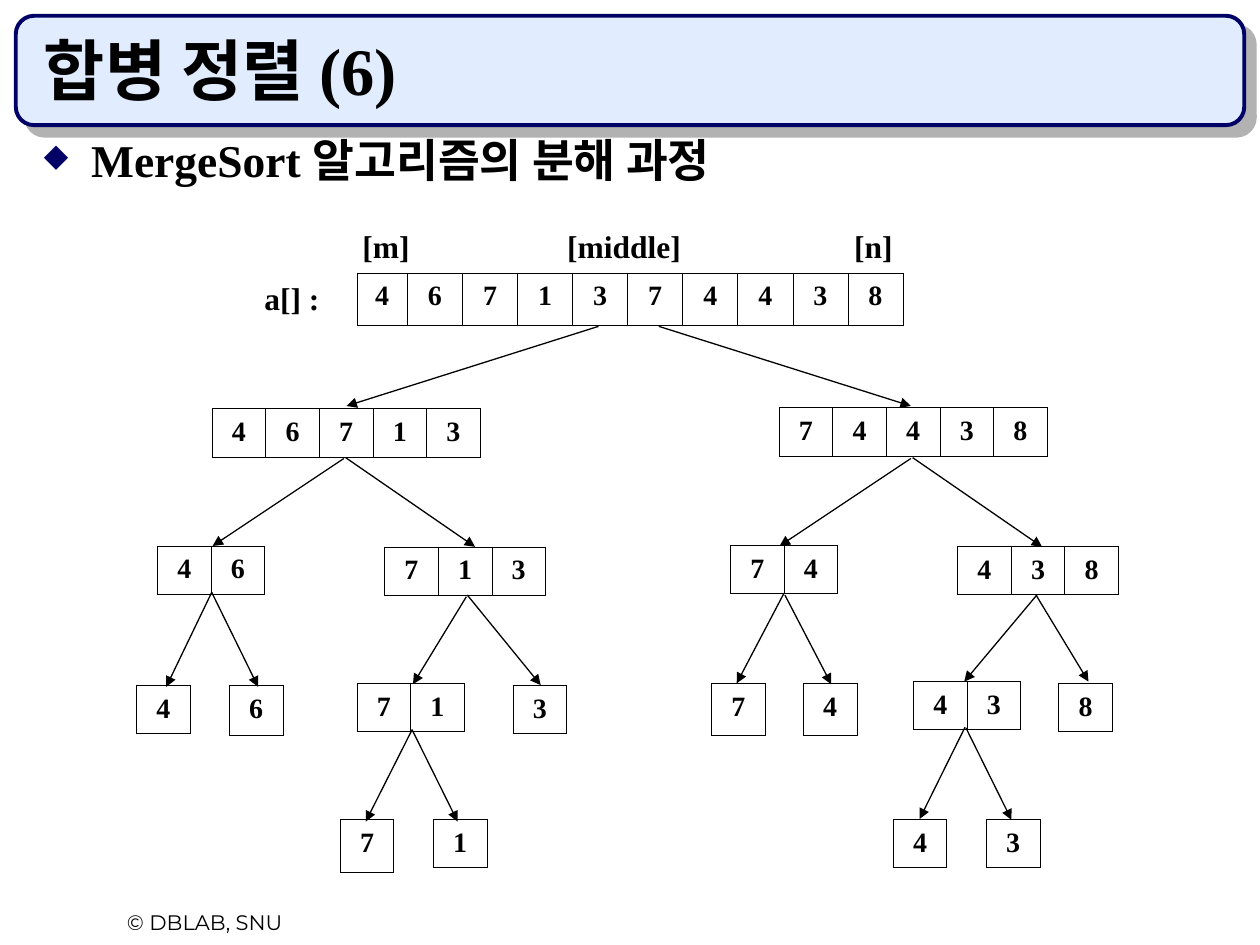
from lxml import etree
from pptx import Presentation
from pptx.dml.color import RGBColor
from pptx.enum.shapes import MSO_CONNECTOR, MSO_SHAPE
from pptx.enum.text import MSO_ANCHOR, PP_ALIGN
from pptx.oxml import parse_xml
from pptx.oxml.ns import nsdecls, qn
from pptx.util import Pt

LEFT, CENTER = PP_ALIGN.LEFT, PP_ALIGN.CENTER
TOP, BOTTOM = MSO_ANCHOR.TOP, MSO_ANCHOR.BOTTOM
ROUNDED = MSO_SHAPE.ROUNDED_RECTANGLE
STRAIGHT = MSO_CONNECTOR.STRAIGHT

THEME = {
    "black": "000000", "navy": "000066", "banner": "E1ECFF", "shadow": "B2B2B2",
    "serif": "Times New Roman", "sans": "Montserrat",
    "title": 38, "heading": 26, "label": 18, "digit": 16, "footer": 12,
}
CELL_WIDTH = 30.67


def write(frame, text, size, font=THEME["serif"], bold=True, align=LEFT,
          anchor=TOP, spacing=None, extras=()):
    frame.word_wrap = True
    frame.vertical_anchor = anchor
    paragraph = frame.paragraphs[0]
    paragraph.alignment = align
    if spacing:
        paragraph.line_spacing = spacing
    properties = paragraph._p.get_or_add_pPr()
    for extra in extras:
        properties.append(parse_xml(extra))
    run = paragraph.add_run()
    run.text = text
    run.font.size = Pt(size)
    run.font.name = font
    run.font.bold = bold
    run.font.color.rgb = RGBColor.from_string(THEME["black"])
    return properties


presentation = Presentation()
presentation.slide_width, presentation.slide_height = Pt(720), Pt(540)
slide = presentation.slides.add_slide(presentation.slide_layouts[6])
shapes = slide.shapes
namespace = nsdecls("a")

banner = shapes.add_shape(ROUNDED, Pt(9), Pt(9), Pt(702), Pt(62.5))
banner.adjustments[0] = 0.167
banner.fill.solid()
banner.fill.fore_color.rgb = RGBColor.from_string(THEME["banner"])
banner.line.color.rgb = RGBColor.from_string(THEME["navy"])
banner.line.width = Pt(2.25)
banner.shadow.inherit = False
banner._element.spPr.find(qn("a:effectLst")).append(parse_xml(
    f'<a:outerShdw {namespace} blurRad="0" dist="{Pt(8.5)}" dir="2700000" algn="ctr" '
    f'rotWithShape="0"><a:srgbClr val="{THEME["shadow"]}"/></a:outerShdw>'))

bullet = (
    f'<a:buClr {namespace}><a:srgbClr val="{THEME["navy"]}"/></a:buClr>',
    f'<a:buSzPct {namespace} val="70000"/>',
    f'<a:buChar {namespace} char="◆"/>',
)
label_tabs = (
    f'<a:tabLst {namespace}><a:tab pos="{Pt(117)}" algn="l"/>'
    f'<a:tab pos="{Pt(281)}" algn="l"/></a:tabLst>',
)
texts = [
    (30, 516, 174, 22, "© DBLAB, SNU",
     dict(size=THEME["footer"], font=THEME["sans"], bold=False, align=CENTER)),
    (18, 18, 678, 48, "합병 정렬 (6)", dict(size=THEME["title"], anchor=BOTTOM)),
    (18, 78, 678, 420, "MergeSort 알고리즘의 분해 과정",
     dict(size=THEME["heading"], spacing=0.8, extras=bullet)),
    (200, 126, 324, 29, "[m]\t[middle]\t[n]",
     dict(size=THEME["label"], extras=label_tabs)),
    (144, 156, 48, 29, "a[] :", dict(size=THEME["label"])),
]
for left, top, width, height, text, text_format in texts:
    box = shapes.add_textbox(Pt(left), Pt(top), Pt(width), Pt(height))
    properties = write(box.text_frame, text, **text_format)
    if text_format.get("extras") is bullet:
        properties.set("marL", str(Pt(27)))
        properties.set("indent", str(-Pt(27)))

arrays = [
    (204, 156, 30.2, "4671374438"),
    (121.2, 233.5, 27.6, "46713"), (445.2, 233, 27.8, "74438"),
    (90, 312, 27.6, "46"), (219.8, 312.6, 27.6, "713"),
    (417.4, 311.6, 27.6, "74"), (547.2, 312.2, 27.6, "438"),
    (78, 391.6, 27.6, "4"), (131, 391.6, 28.6, "6"),
    (204, 390.4, 27.8, "71"), (293.2, 391.6, 27.6, "3"),
    (406.6, 390.4, 29.8, "7"), (459, 390.4, 29.8, "4"),
    (522, 389.4, 27.6, "43"), (605, 390.4, 27.6, "8"),
    (194.4, 468.4, 30, "7"), (247.6, 468.4, 27.2, "1"),
    (510.4, 468.4, 27.2, "4"), (563.6, 468.4, 27.2, "3"),
]
for left, top, height, digits in arrays:
    widths = [CELL_WIDTH] * len(digits)
    if len(digits) == 10:
        widths = [28.8] + [31.47] * 9
    table = shapes.add_table(1, len(digits), Pt(left), Pt(top),
                             Pt(sum(widths)), Pt(height)).table
    table.first_row = table.horz_banding = False
    table.rows[0].height = Pt(height)
    for column, width, cell, digit in zip(table.columns, widths, table.iter_cells(), digits):
        column.width = Pt(width)
        cell_properties = cell._tc.get_or_add_tcPr()
        for side in ("lnL", "lnR", "lnT", "lnB"):
            cell_properties.append(parse_xml(
                f'<a:{side} {namespace} w="{Pt(0.45)}"><a:solidFill>'
                f'<a:srgbClr val="{THEME["black"]}"/></a:solidFill></a:{side}>'))
        cell.fill.background()
        write(cell.text_frame, digit, size=THEME["digit"], align=CENTER, spacing=1.05)

arrows = [
    (342, 186.5, 198, 232), (376.5, 186.5, 520.5, 232),
    (196.5, 262, 121.5, 312), (197.5, 261.5, 271.5, 312.5),
    (520.5, 262, 445.5, 312), (521.5, 261.5, 595.5, 312.5),
    (121, 338.5, 95, 392.5), (121, 338.5, 147.5, 392.5),
    (266.5, 341, 236, 391), (267, 340, 309, 391.5),
    (448, 339, 421, 390.5), (448.5, 340, 475, 391),
    (592.5, 340, 551, 389.5), (592, 340, 622, 389.5),
    (235.5, 417, 209, 469.5), (235.5, 417, 261.5, 469.5),
    (551.5, 415.5, 525.5, 468), (552, 416, 578, 468.5),
]
for points in arrows:
    arrow = shapes.add_connector(STRAIGHT, *map(Pt, points))
    arrow.line.color.rgb = RGBColor.from_string(THEME["black"])
    arrow.line.width = Pt(0.75)
    etree.SubElement(arrow.line._get_or_add_ln(), qn("a:tailEnd"), type="triangle")
    etree.SubElement(arrow._element.spPr, qn("a:effectLst"))

presentation.save("out.pptx")
